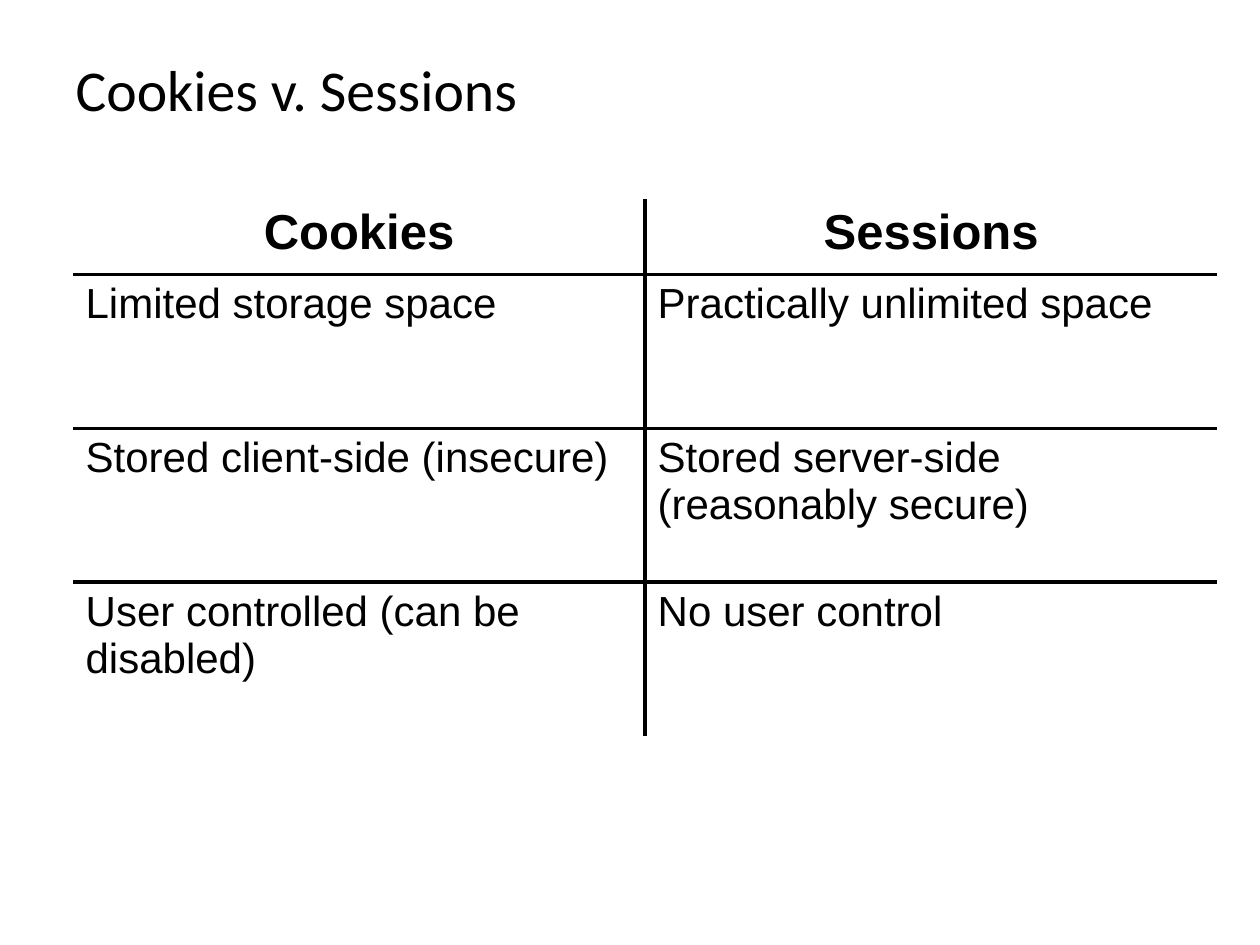
from lxml import etree
from pptx import Presentation
from pptx.dml.color import RGBColor
from pptx.enum.text import MSO_ANCHOR, PP_ALIGN
from pptx.oxml.ns import qn
from pptx.util import Inches, Pt

LEFT = PP_ALIGN.LEFT
CENTER = PP_ALIGN.CENTER
MIDDLE = MSO_ANCHOR.MIDDLE
TITLE_ONLY = 5

COLORS = {"text": "000000", "rule": "000000"}
RULE_WIDTH = Pt(2.25)
COLUMN_WIDTH = 4.54
HEADER_HEIGHT = 0.6
ROW_HEIGHT = 1.22

COMPARISON = [
    ("Cookies", "Sessions"),
    ("Limited storage space", "Practically unlimited space"),
    ("Stored client-side (insecure)", "Stored server-side (reasonably secure)"),
    ("User controlled (can be disabled)", "No user control"),
]


def format_paragraph(paragraph, font_name, size, align, bold=False):
    paragraph.alignment = align
    paragraph.font.name = font_name
    paragraph.font.size = Pt(size)
    paragraph.font.bold = bold
    paragraph.font.color.rgb = RGBColor.from_string(COLORS["text"])


def add_title(slide, text):
    title = slide.shapes.title
    title.left, title.top = Inches(0.5), Inches(0.3)
    title.width, title.height = Inches(9), Inches(0.87)
    title.text_frame.text = text
    title.text_frame.vertical_anchor = MIDDLE
    heading = title.text_frame.paragraphs[0]
    heading.line_spacing = 0.9
    format_paragraph(heading, "Calibri", 33, LEFT)


def set_borders(cell, ruled_sides):
    properties = cell._tc.get_or_add_tcPr()
    for side, ruled in ruled_sides.items():
        border = etree.SubElement(properties, qn(f"a:ln{side}"), w=str(RULE_WIDTH))
        if ruled:
            fill = etree.SubElement(border, qn("a:solidFill"))
            etree.SubElement(fill, qn("a:srgbClr"), val=COLORS["rule"])
        else:
            etree.SubElement(border, qn("a:noFill"))


def add_comparison(slide, rows):
    row_count, column_count = len(rows), len(rows[0])
    heights = [HEADER_HEIGHT] + [ROW_HEIGHT] * (row_count - 1)
    table = slide.shapes.add_table(
        row_count, column_count, Inches(0.58), Inches(1.58),
        Inches(COLUMN_WIDTH * column_count), Inches(sum(heights)),
    ).table
    table.horz_banding = False
    for column in table.columns:
        column.width = Inches(COLUMN_WIDTH)
    for r, (height, texts) in enumerate(zip(heights, rows)):
        table.rows[r].height = Inches(height)
        is_header = r == 0
        for c, text in enumerate(texts):
            cell = table.cell(r, c)
            cell.text = text
            format_paragraph(
                cell.text_frame.paragraphs[0], "Arial",
                28 if is_header else 24,
                CENTER if is_header else LEFT, is_header,
            )
            set_borders(cell, {
                "L": c > 0,
                "R": c < column_count - 1,
                "T": r > 0,
                "B": r < row_count - 1,
            })
            cell.fill.background()


def main():
    presentation = Presentation()
    presentation.slide_width = Inches(10)
    presentation.slide_height = Inches(7.5)
    slide = presentation.slides.add_slide(presentation.slide_layouts[TITLE_ONLY])
    add_title(slide, "Cookies v. Sessions")
    add_comparison(slide, COMPARISON)
    presentation.save("out.pptx")


if __name__ == "__main__":
    main()
